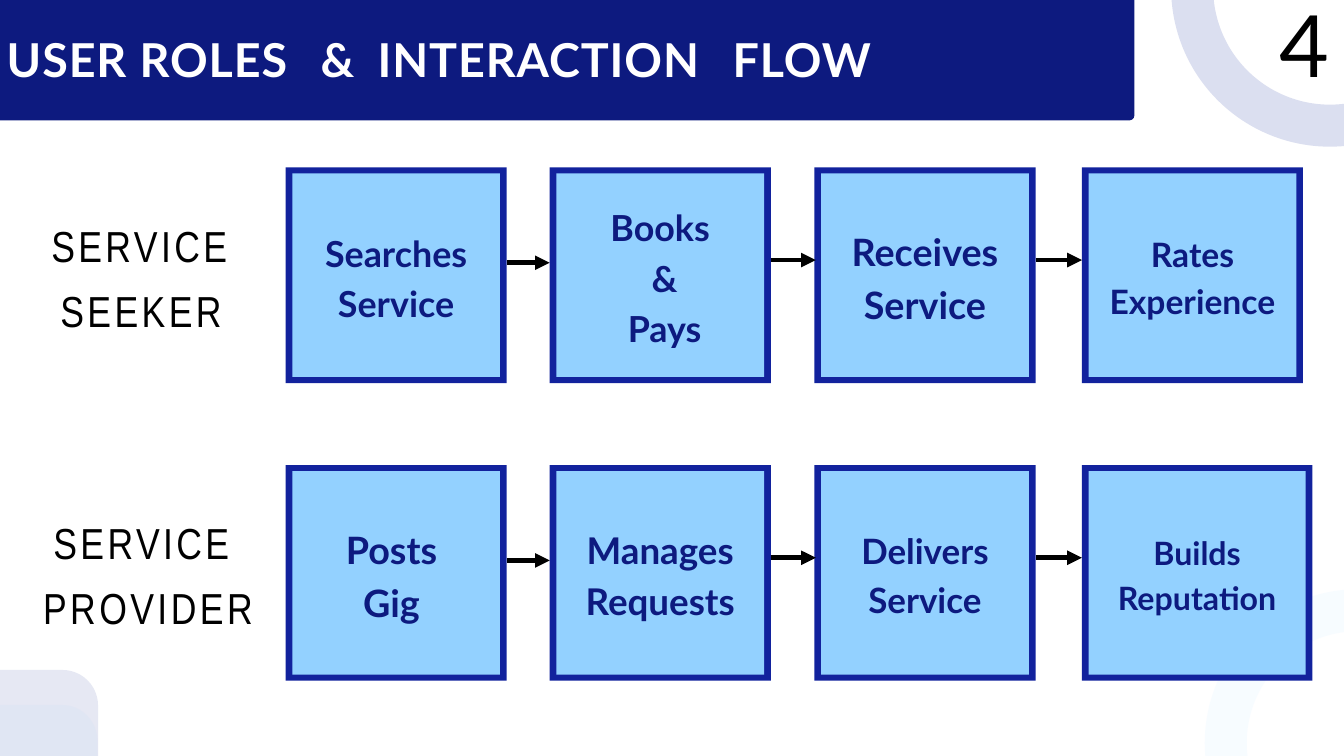
from pptx import Presentation
from pptx.dml.color import RGBColor
from pptx.enum.shapes import MSO_CONNECTOR, MSO_SHAPE
from pptx.enum.text import MSO_ANCHOR, PP_ALIGN
from pptx.oxml.ns import qn
from pptx.util import Inches, Pt
from lxml.etree import SubElement

NAVY = RGBColor(0x0D, 0x1A, 0x7F)
FRAME = RGBColor(0x12, 0x22, 0x9D)
SKY = RGBColor(0x93, 0xD1, 0xFF)
PALE = RGBColor(0xDB, 0xF0, 0xFF)
SLATE = RGBColor(0x76, 0x83, 0xC0)
INDIGO = RGBColor(0x4E, 0x60, 0xB5)
WHITE = RGBColor(0xFF, 0xFF, 0xFF)
BLACK = RGBColor(0, 0, 0)

# Title pieces with their letter spacing; the wide gaps are spaced-out blanks
TITLE = [("USER ROLES", 1), (" ", 22.3), ("&", 1), (" ", 11.65),
         ("INTERACTION", 1), (" ", 22.3), ("FLOW", 1)]

# Role rows: top of boxes, last box width, label with its place, steps
# Each step: paragraphs, number of lines, font size
ROWS = [
    dict(top=2.49, last_width=3.29,
         label=["SERVICE SEEKER"], label_at=(0.22, 3.06, 3.76, 1.9),
         steps=[(["Searches", " Service "], 2, 38.4),
                (["Books", " &", " Pays"], 3, 38.4),
                (["Receives", "Service"], 2, 40.4),
                (["Rates Experience"], 2, 36)]),
    dict(top=6.92, last_width=3.43,
         label=["SERVICE", " PROVIDER"], label_at=(0.42, 7.49, 3.37, 1.9),
         steps=[(["Posts ", "Gig "], 2, 40.4),
                (["Manages Requests"], 2, 39.4),
                (["Delivers Service"], 2, 37.4),
                (["Builds Reputation"], 2, 34.4)]),
]
COLUMNS = [4.25, 8.18, 12.12, 16.1]
BOX_W, BOX_H = 3.29, 3.21
BORDER_X, BORDER_Y = 0.1, 0.09
TEXT_INSET, TEXT_MIDDLE = 0.28, 1.56
ARROW_DROPS = [1.42, 1.38, 1.38]
ARROW_ENDS = [8.18, 12.14, 16.1]


def set_alpha(props, percent):
    color = next(props.iter(qn("a:srgbClr")))
    SubElement(color, qn("a:alpha")).set("val", str(percent * 1000))


def add_solid(s, kind, at, color, radius=None, alpha=None):
    sp = s.shapes.add_shape(kind, *map(Inches, at))
    sp.shadow.inherit = False
    sp.fill.solid()
    sp.fill.fore_color.rgb = color
    sp.line.fill.background()
    if radius is not None:
        sp.adjustments[0] = radius / min(at[2:])
    if alpha:
        set_alpha(sp.fill._xPr.find(qn("a:solidFill")), alpha)


def add_ring(s, at, color):
    sp = s.shapes.add_shape(MSO_SHAPE.OVAL, *map(Inches, at))
    sp.shadow.inherit = False
    sp.fill.background()
    sp.line.color.rgb = color
    sp.line.width = Pt(45)
    set_alpha(sp.line._ln, 20)


def add_text(s, at, paragraphs, leading, align=PP_ALIGN.CENTER, **font):
    """Each paragraph is a list of (text, letter spacing) pieces."""
    tf = s.shapes.add_textbox(*map(Inches, at)).text_frame
    frame = dict(word_wrap=True, vertical_anchor=MSO_ANCHOR.TOP, margin_left=0,
                 margin_right=0, margin_top=0, margin_bottom=0)
    for name, value in frame.items():
        setattr(tf, name, value)
    color = font.pop("color")
    for i, pieces in enumerate(paragraphs):
        p = tf.add_paragraph() if i else tf.paragraphs[0]
        p.alignment = align
        p.line_spacing = Pt(leading)
        for text, spacing in pieces:
            r = p.add_run()
            r.text = text
            for name, value in font.items():
                setattr(r.font, name, value)
            r.font.color.rgb = color
            if spacing:
                r.font._element.set("spc", str(round(spacing * 100)))


def add_arrow(s, x1, x2, y):
    c = s.shapes.add_connector(MSO_CONNECTOR.STRAIGHT,
                               *map(Inches, (x1, y, x2, y)))
    c.line.color.rgb = BLACK
    c.line.width = Pt(5.25)
    SubElement(c.line._ln, qn("a:tailEnd")).set("type", "triangle")
    SubElement(c._element.spPr, qn("a:effectLst"))


def add_step(s, x, y, width, paragraphs, lines, size):
    add_solid(s, MSO_SHAPE.RECTANGLE, (x, y, width, BOX_H), FRAME)
    add_solid(s, MSO_SHAPE.RECTANGLE,
              (x + BORDER_X, y + BORDER_Y,
               width - 2 * BORDER_X, BOX_H - 2 * BORDER_Y), SKY)
    leading = 1.4 * size
    height = lines * leading / 72 - 0.06
    add_text(s, (x + TEXT_INSET, y + TEXT_MIDDLE - height / 2,
                 width - 2 * TEXT_INSET, height),
             [[(text, 0)] for text in paragraphs], leading,
             name="Lato", size=Pt(size), bold=True, color=NAVY)


def add_row(s, row):
    widths = [BOX_W] * 3 + [row["last_width"]]
    for x, width, step in zip(COLUMNS, widths, row["steps"]):
        add_step(s, x, row["top"], width, *step)
    for x, end, drop in zip(COLUMNS, ARROW_ENDS, ARROW_DROPS):
        add_arrow(s, x + BOX_W, end, row["top"] + drop)
    add_text(s, row["label_at"], [[(text, 3.7)] for text in row["label"]], 69.8,
             name="Arial Narrow", size=Pt(46.5), color=BLACK)


def main():
    prs = Presentation()
    prs.slide_width, prs.slide_height = Inches(20), Inches(11.25)
    s = prs.slides.add_slide(prs.slide_layouts[6])

    rounded = MSO_SHAPE.ROUNDED_RECTANGLE
    add_solid(s, rounded, (-0.31, -0.26, 17.19, 2.05), NAVY, radius=0.07)
    add_text(s, (0.1, 0.32, 14.34, 0.93), [TITLE], 70, PP_ALIGN.LEFT,
             name="Lato", size=Pt(50), bold=True, color=WHITE)
    add_solid(s, rounded, (-0.63, 10.49, 2.08, 2.08), PALE, radius=0.53, alpha=18)
    add_ring(s, (17.74, -2.23, 4.1, 4.1), INDIGO)
    add_ring(s, (18.24, 9.08, 3.95, 3.95), PALE)

    for row in ROWS:
        add_row(s, row)

    add_text(s, (19.04, -0.38, 0.75, 1.72), [[("4", 0)]], 128.8,
             name="Lato", size=Pt(92), color=BLACK)
    add_solid(s, rounded, (-0.7, 9.97, 2.16, 2.16), SLATE, radius=0.53, alpha=18)
    prs.save("out.pptx")


if __name__ == "__main__":
    main()
